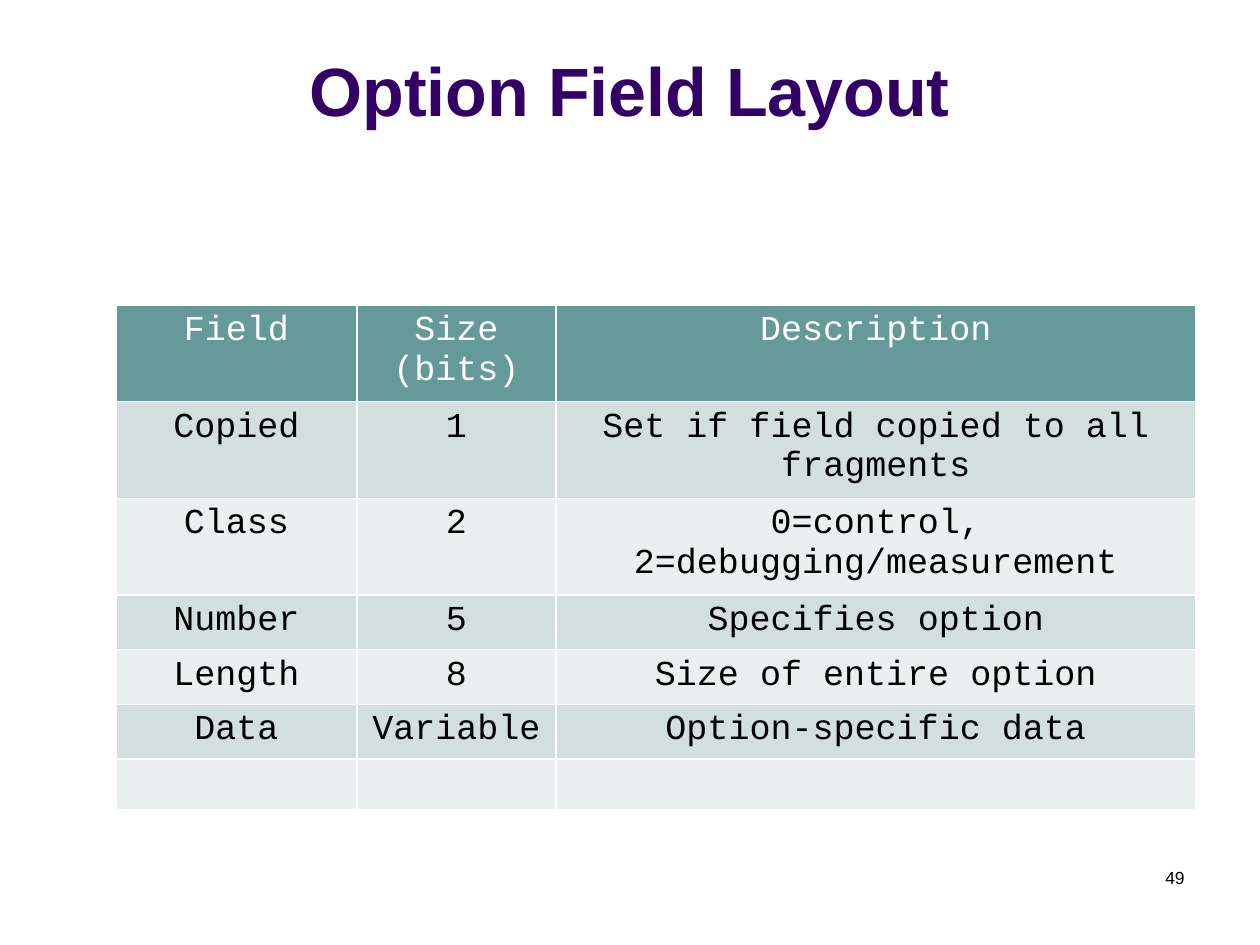
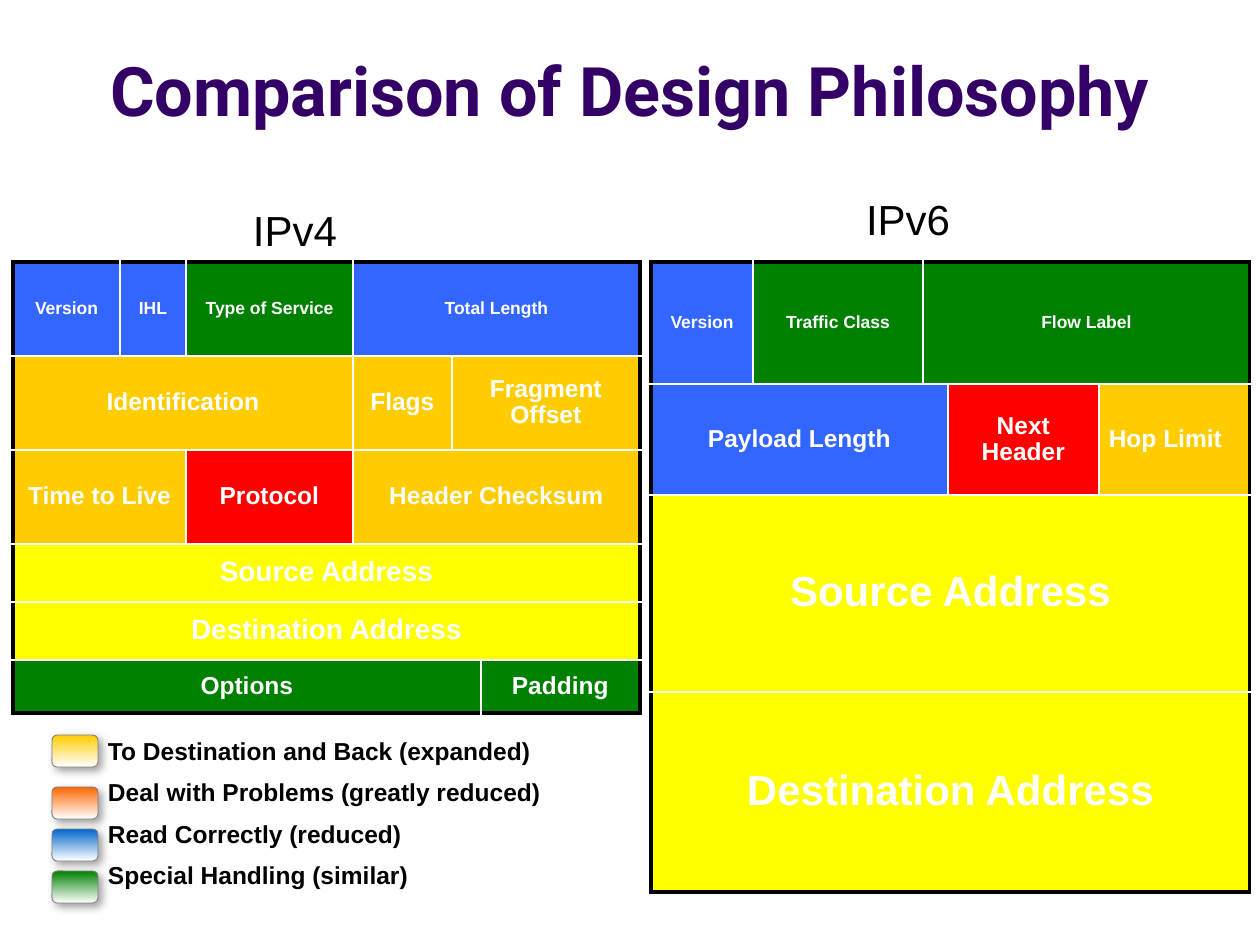
from dataclasses import dataclass
from itertools import accumulate

from lxml.etree import SubElement, fromstring
from pptx import Presentation
from pptx.dml.color import RGBColor as Rgb
from pptx.enum.shapes import MSO_SHAPE as Preset
from pptx.enum.text import MSO_ANCHOR as Anchor, MSO_AUTO_SIZE as Fit, PP_ALIGN as Align
from pptx.oxml.ns import nsdecls, qn
from pptx.util import Emu, Pt


@dataclass(frozen=True)
class Theme:
    """Colours, fonts and type sizes shared by the slides."""
    title: str = "330066"
    ink: str = "000000"
    paper: str = "FFFFFF"
    header: str = "669999"
    band_dark: str = "D3DEDE"
    band_light: str = "EAEFEF"
    blue: str = "3366FF"
    green: str = "008000"
    amber: str = "FFCC00"
    red: str = "FF0000"
    yellow: str = "FFFF00"
    orange: str = "FF6600"
    deep_blue: str = "0066CC"
    gray: str = "808080"
    sans: str = "Arial"
    mono: str = "Courier New"
    display: str = "Roboto"
    title_size: int = 39
    label_size: int = 24
    address_size: int = 16
    mono_size: int = 20
    field_size: int = 14
    small_size: int = 10
    thin: float = 1
    thick: float = 2.25


THEME = Theme()
LINE_SPACING = 0.95
FIELD_INSETS = {"margin_left": 10, "margin_right": 10, "margin_top": 5, "margin_bottom": 5}


def px(length):
    """Turn pixels into EMU."""
    return Emu(round(length * 914400 / 126))


def apply_format(target, values):
    """Set each format value on the target."""
    for key, value in values.items():
        setattr(target, key, value)


def insets(values):
    """Turn a dict of pixel margins into EMU."""
    return {key: px(value) for key, value in values.items()}


def write(paragraph, words, size, color, font=THEME.sans, bold=False, **layout):
    """Write one run in a paragraph with its type and layout."""
    run = paragraph.add_run()
    run.text = words
    apply_format(run.font, {"name": font, "size": Pt(size), "bold": bold})
    run.font.color.rgb = Rgb.from_string(color)
    apply_format(paragraph, layout)


def add_text(slide, box, lines, size, color=THEME.ink, font=THEME.sans, bold=False,
             frame_format=None, gap=0, indent=0, **layout):
    """Place a text box holding one paragraph for each line."""
    frame = slide.shapes.add_textbox(*map(px, box)).text_frame
    apply_format(frame, {"word_wrap": True, **(frame_format or {})})
    for index, words in enumerate(lines):
        paragraph = frame.add_paragraph() if index else frame.paragraphs[0]
        write(paragraph, words, size, color, font, bold, **layout)
        if index and gap:
            paragraph.space_before = Pt(gap)
        if indent:
            paragraph._p.get_or_add_pPr().set("marL", str(px(indent)))


def add_title(slide, words, font):
    """Place the slide title above the content."""
    add_text(slide, (0, 16, 1260, 120), [words], THEME.title_size, THEME.title, font, True,
             {"vertical_anchor": Anchor.BOTTOM}, alignment=Align.CENTER)


def add_borders(cell, edges):
    """Put the border lines of a cell ahead of its fill."""
    properties = cell._tc.get_or_add_tcPr()
    for index, (side, (color, width)) in enumerate(edges.items()):
        line = SubElement(properties, qn(f"a:ln{side}"), w=str(Pt(width)))
        fill = SubElement(line, qn("a:solidFill"))
        SubElement(fill, qn("a:srgbClr"), val=color)
        properties.insert(index, line)


def add_grid(slide, box, columns, rows, outer, font, bold, cell_format, **layout):
    """Draw a table of (height, size, ink, cells) rows with spanning cells."""
    left, top = box
    inner = (THEME.paper, THEME.thin)
    size = (sum(columns), sum(row[0] for row in rows))
    table = slide.shapes.add_table(len(rows), len(columns), *map(px, (left, top, *size))).table
    apply_format(table, {"first_row": False, "horz_banding": False})
    for column, width in zip(table.columns, columns):
        column.width = px(width)
    for r, (height, type_size, ink, fields) in enumerate(rows):
        table.rows[r].height = px(height)
        starts = accumulate((span for _, span, *_ in fields), initial=0)
        for start, (words, span, color, *align) in zip(starts, fields):
            end = start + span - 1
            origin = table.cell(r, start)
            if span > 1:
                origin.merge(table.cell(r, end))
            for c in range(start, end + 1):
                cell = table.cell(r, c)
                cell.fill.solid()
                cell.fill.fore_color.rgb = Rgb.from_string(color)
                edges = {
                    "L": outer if start == 0 else inner,
                    "R": outer if end == len(columns) - 1 else inner,
                    "T": outer if r == 0 else inner,
                    "B": outer if r == len(rows) - 1 else inner,
                }
                add_borders(cell, edges)
            apply_format(origin, cell_format)
            if words:
                alignment = align[0] if align else Align.CENTER
                write(origin.text_frame.paragraphs[0], words, type_size, ink, font, bold,
                      alignment=alignment, **layout)


def add_packet(slide, box, columns, rows):
    """Draw one packet header as a grid of coloured fields."""
    fields = [(height, size, THEME.paper, cells) for height, size, cells in rows]
    add_grid(slide, box, columns, fields, (THEME.ink, THEME.thick), THEME.sans, True,
             {"vertical_anchor": Anchor.MIDDLE, **insets(FIELD_INSETS)},
             line_spacing=LINE_SPACING)


def add_swatch(slide, box, color):
    """Draw one shaded legend key."""
    swatch = slide.shapes.add_shape(Preset.ROUNDED_RECTANGLE, *map(px, box))
    swatch.shadow.inherit = False
    swatch.fill.gradient()
    swatch.fill.gradient_angle = 270
    for stop, shade in zip(swatch.fill.gradient_stops, (color, THEME.paper)):
        stop.color.rgb = Rgb.from_string(shade)
    swatch.line.color.rgb = Rgb.from_string(THEME.gray)
    swatch.line.width = Pt(0.5)
    effects = swatch._element.spPr.find(qn("a:effectLst"))
    effects.append(fromstring(
        f'<a:outerShdw {nsdecls("a")} blurRad="{Pt(5)}" dist="{Pt(3)}" dir="2700000" '
        f'algn="tl" rotWithShape="0"><a:srgbClr val="{THEME.gray}">'
        '<a:alpha val="75000"/></a:srgbClr></a:outerShdw>'))


def add_legend(slide, box, entries):
    """Place the legend keys and their lines of text."""
    left, top, width, height = box
    for color, _, offset in entries:
        add_swatch(slide, (left, top + offset, 46, 32), color)
    add_text(slide, (left + 21, top - 2, width, height), [words for _, words, _ in entries],
             THEME.field_size, bold=True, gap=7.7, indent=25,
             frame_format={"auto_size": Fit.SHAPE_TO_FIT_TEXT, **insets(FIELD_INSETS)},
             line_spacing=LINE_SPACING)


def add_label(slide, box, words, wrap):
    """Name the packet header below."""
    add_text(slide, box, [words], THEME.label_size, alignment=Align.CENTER,
             frame_format={"word_wrap": wrap, "auto_size": Fit.SHAPE_TO_FIT_TEXT,
                           **insets(FIELD_INSETS)})


def build_option_slide(slide):
    """Build the table of option fields."""
    add_title(slide, "Option Field Layout", THEME.sans)
    add_text(slide, (903, 861, 294, 63), ["49"], THEME.small_size, alignment=Align.RIGHT)
    options = [
        ("Field", "Size (bits)", "Description"),
        ("Copied", "1", "Set if field copied to all fragments"),
        ("Class", "2", "0=control, 2=debugging/measurement"),
        ("Number", "5", "Specifies option"),
        ("Length", "8", "Size of entire option"),
        ("Data", "Variable", "Option-specific data"),
        ("", "", ""),
    ]
    rows = []
    for index, option in enumerate(options):
        band = THEME.band_dark if index % 2 else THEME.band_light
        fill, ink = (band, THEME.ink) if index else (THEME.header, THEME.paper)
        rows.append((50, THEME.mono_size, ink, [(words, 1, fill) for words in option]))
    add_grid(slide, (116, 305), (241, 199, 640), rows, (THEME.paper, THEME.thin),
             THEME.mono, False, {})


def build_comparison_slide(slide):
    """Build the two packet headers and their legend."""
    t = THEME
    add_title(slide, "Comparison of Design Philosophy", t.display)
    add_packet(slide, (13, 262), (107, 66, 167, 99, 29, 159), [
        (94, t.small_size, [("Version", 1, t.blue), ("IHL", 1, t.blue),
                            ("Type of Service", 1, t.green), ("Total Length", 3, t.blue)]),
        (94, t.field_size, [("Identification", 3, t.amber), ("Flags", 1, t.amber),
                            ("Fragment Offset", 2, t.amber)]),
        (94, t.field_size, [("Time to Live", 2, t.amber), ("Protocol", 1, t.red),
                            ("Header Checksum", 3, t.amber)]),
        (58, t.address_size, [("Source Address", 6, t.yellow)]),
        (58, t.address_size, [("Destination Address", 6, t.yellow)]),
        (53, t.field_size, [("Options", 5, t.green), ("Padding", 1, t.green)]),
    ])
    add_packet(slide, (651, 262), (102, 170, 25, 151, 151), [
        (122, t.small_size, [("Version", 1, t.blue), ("Traffic Class", 1, t.green),
                             ("Flow Label", 3, t.green)]),
        (111, t.field_size, [("Payload Length", 3, t.blue), ("Next Header", 1, t.red),
                             ("Hop Limit", 1, t.amber, Align.LEFT)]),
        (197, t.label_size, [("Source Address", 5, t.yellow)]),
        (200, t.label_size, [("Destination Address", 5, t.yellow)]),
    ])
    add_label(slide, (242, 200, 106, 60), "IPv4", False)
    add_label(slide, (735, 189, 346, 60), "IPv6", True)
    add_legend(slide, (52, 735, 504, 169), [
        (t.amber, "To Destination and Back (expanded)", 0),
        (t.orange, "Deal with Problems (greatly reduced)", 52),
        (t.deep_blue, "Read Correctly (reduced)", 94),
        (t.green, "Special Handling (similar)", 136),
    ])


def main():
    """Build the slides and save them."""
    deck = Presentation()
    apply_format(deck, {"slide_width": px(1260), "slide_height": px(945)})
    for build in (build_option_slide, build_comparison_slide):
        build(deck.slides.add_slide(deck.slide_layouts[6]))
    deck.save("out.pptx")


main()
